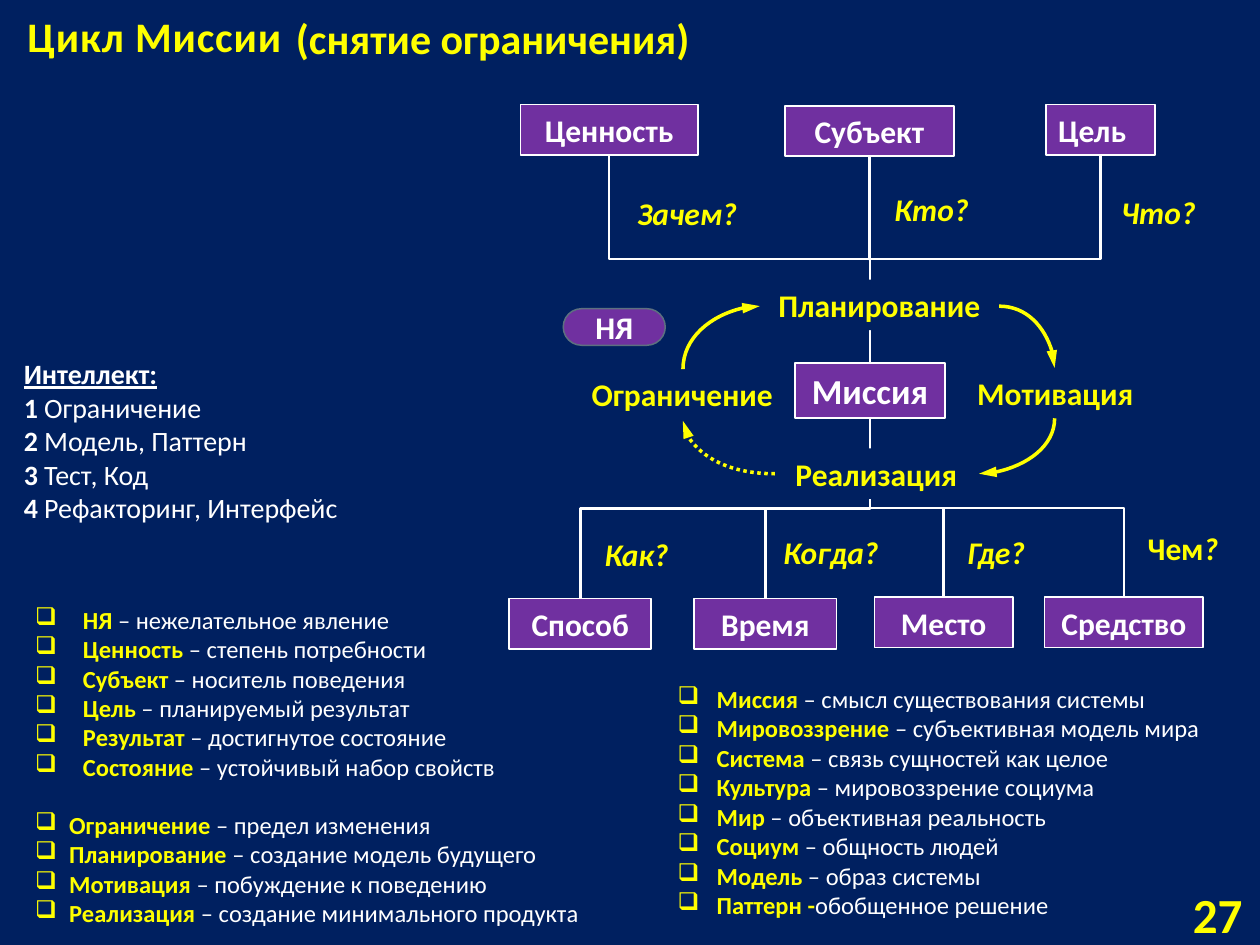
from lxml.etree import SubElement
from pptx import Presentation
from pptx.dml.color import RGBColor
from pptx.enum.dml import MSO_LINE
from pptx.enum.shapes import MSO_CONNECTOR, MSO_SHAPE
from pptx.enum.text import MSO_ANCHOR, PP_ALIGN
from pptx.oxml.ns import qn
from pptx.util import Inches, Pt

FONT = "Calibri"
COLORS = {"navy": "002060", "purple": "7030A0", "yellow": "FFFF00",
          "white": "FFFFFF", "grey": "5D7080"}

# text, left, top, width, height, size, alignment, anchor
HEADINGS = [
    ("Цикл Миссии", 0.12, 0.03, 2.54, 0.5, 24, PP_ALIGN.LEFT, MSO_ANCHOR.BOTTOM),
    ("(снятие ограничения)", 2.25, 0.05, 3.58, 0.5, 24, PP_ALIGN.LEFT, MSO_ANCHOR.TOP),
    ("27", 9.25, 7.05, 0.71, 0.4, 28, PP_ALIGN.RIGHT, MSO_ANCHOR.MIDDLE),
]
# text, left, top, width
QUESTIONS = [
    ("Зачем?", 4.96, 1.49, 1.14), ("Кто?", 7, 1.46, 0.99), ("Что?", 8.8, 1.48, 0.91),
    ("Как?", 4.7, 4.2, 0.82), ("Когда?", 6.12, 4.18, 1.14),
    ("Где?", 7.58, 4.18, 0.77), ("Чем?", 9.01, 4.15, 0.82),
]
TOP_BOXES = [("Ценность", 4.13, 0.83, 1.41), ("Субъект", 6.23, 0.84, 1.34),
             ("Цель", 8.3, 0.83, 0.87)]
BOTTOM_BOXES = [("Способ", 4.04, 4.75, 1.13), ("Время", 5.51, 4.75, 1.13),
                ("Место", 6.94, 4.74, 1.1), ("Средство", 8.29, 4.74, 1.26)]
STAGES = [("Планирование", 6.03, 2.22, 1.9), ("Ограничение", 4.55, 2.93, 1.73),
          ("Мотивация", 7.6, 2.92, 1.55), ("Реализация", 6.15, 3.56, 1.61)]
MISSION = ("Миссия", 6.31, 2.88, 1.19, 0.44)
BOX_HEIGHT = 0.4

# start, end, leaves vertically, dotted
CYCLE_ARROWS = [
    ((7.93, 2.43), (8.37, 2.92), False, False),
    ((8.37, 3.32), (7.77, 3.76), True, False),
    ((6.15, 3.76), (5.42, 3.34), False, True),
    ((5.42, 2.93), (6.03, 2.43), True, False),
]
# left, top, width, height, indent, terms with definitions
GLOSSARIES = [
    (0.18, 4.75, 4.31, 1.51, 0.38, [
        ("НЯ", " – нежелательное явление"),
        ("Ценность", " – степень потребности"),
        ("Субъект", " – носитель поведения"),
        ("Цель", " – планируемый результат"),
        ("Результат", " – достигнутое состояние"),
        ("Состояние", " – устойчивый набор свойств")]),
    (0.18, 6.38, 4.88, 1.04, 0.27, [
        ("Ограничение", " – предел изменения"),
        ("Планирование", " – создание модель будущего"),
        ("Мотивация", " – побуждение к поведению"),
        ("Реализация", " – создание минимального продукта")]),
    (5.28, 5.38, 4.4, 1.99, 0.31, [
        ("Миссия", " – смысл существования системы"),
        ("Мировоззрение", " – субъективная модель мира"),
        ("Система", " – связь сущностей как целое"),
        ("Культура", " – мировоззрение социума"),
        ("Мир", " – объективная реальность"),
        ("Социум", " – общность людей"),
        ("Модель", " – образ системы"),
        ("Паттерн -", "обобщенное решение")]),
]
INTELLECT_TITLE = "Интеллект:"
INTELLECT = ["Ограничение", "Модель, Паттерн", "Тест, Код", "Рефакторинг, Интерфейс"]


def color(name):
    return RGBColor.from_string(COLORS[name])


def add_run(paragraph, text, size, color_name, bold=True, italic=False):
    run = paragraph.add_run()
    run.text = text
    font = run.font
    font.name, font.size, font.bold, font.italic = FONT, Pt(size), bold, italic
    font.color.rgb = color(color_name)
    return run


def add_text_box(slide, left, top, width, height, anchor=MSO_ANCHOR.TOP):
    box = slide.shapes.add_textbox(*map(Inches, (left, top, width, height)))
    frame = box.text_frame
    frame.word_wrap = True
    frame.vertical_anchor = anchor
    return frame


def add_box(slide, text, left, top, width, height=BOX_HEIGHT, fill="purple",
            line="white", line_width=1, text_color="white", size=18,
            kind=MSO_SHAPE.RECTANGLE, align=PP_ALIGN.CENTER):
    shape = slide.shapes.add_shape(kind, *map(Inches, (left, top, width, height)))
    shape.shadow.inherit = False
    shape.fill.solid()
    shape.fill.fore_color.rgb = color(fill)
    if line:
        shape.line.color.rgb = color(line)
        shape.line.width = Pt(line_width)
    else:
        shape.line.fill.background()
    frame = shape.text_frame
    frame.word_wrap = False
    frame.vertical_anchor = MSO_ANCHOR.MIDDLE
    paragraph = frame.paragraphs[0]
    paragraph.alignment = align
    add_run(paragraph, text, size, text_color)
    return shape


def add_link(slide, kind, start, end, vertical, color_name, width):
    """Add a connector; a vertical one is laid out sideways and turned by 90 degrees."""
    (x1, y1), (x2, y2) = start, end
    if vertical:
        center_x, center_y = (x1 + x2) / 2, (y1 + y2) / 2
        half_x, half_y = (x2 - x1) / 2, (y2 - y1) / 2
        x1, y1 = center_x - half_y, center_y + half_x
        x2, y2 = center_x + half_y, center_y - half_x
    connector = slide.shapes.add_connector(kind, *map(Inches, (x1, y1, x2, y2)))
    connector.line.color.rgb = color(color_name)
    connector.line.width = Pt(width)
    properties = connector._element.spPr
    if vertical:
        properties.find(qn("a:xfrm")).set("rot", str(90 * 60000))
    SubElement(properties, qn("a:effectLst"))
    return connector


def add_cycle_arrow(slide, start, end, vertical, dotted):
    arrow = add_link(slide, MSO_CONNECTOR.CURVE, start, end, vertical, "yellow", 2)
    arrow._element.spPr.find(qn("a:prstGeom")).set("prst", "curvedConnector2")
    if dotted:
        arrow.line.dash_style = MSO_LINE.ROUND_DOT
    SubElement(arrow.line._get_or_add_ln(), qn("a:tailEnd"), type="triangle", w="med", len="lg")


def add_glossary(slide, left, top, width, height, indent, entries):
    frame = add_text_box(slide, left, top, width, height)
    for index, (term, definition) in enumerate(entries):
        paragraph = frame.add_paragraph() if index else frame.paragraphs[0]
        properties = paragraph._p.get_or_add_pPr()
        properties.set("marL", str(Inches(indent)))
        properties.set("indent", str(-Inches(indent)))
        SubElement(properties, qn("a:buChar"), char="❑")
        add_run(paragraph, term, 14, "yellow")
        add_run(paragraph, definition, 14, "white", bold=False)


def add_diagram(slide):
    _, left, top, width, height = MISSION
    center = left + width / 2
    for _, box_left, box_top, box_width in TOP_BOXES:
        end = (box_left + box_width / 2, box_top + BOX_HEIGHT)
        add_link(slide, MSO_CONNECTOR.ELBOW, (center, top), end, True, "white", 1.5)
    for _, box_left, box_top, box_width in BOTTOM_BOXES:
        start = (box_left + box_width / 2, box_top)
        add_link(slide, MSO_CONNECTOR.ELBOW, start, (center, top + height), True, "white", 1.5)
    for box in TOP_BOXES + BOTTOM_BOXES:
        align = PP_ALIGN.LEFT if box[0] == "Цель" else PP_ALIGN.CENTER
        add_box(slide, *box, align=align)
    for stage in STAGES:
        add_box(slide, *stage, fill="navy", line=None, text_color="yellow")
    add_box(slide, *MISSION, size=20)
    for arrow in CYCLE_ARROWS:
        add_cycle_arrow(slide, *arrow)
    pill = add_box(slide, "НЯ", 4.47, 2.45, 0.81, 0.29, line="grey", line_width=0.85,
                   kind=MSO_SHAPE.ROUNDED_RECTANGLE)
    pill.adjustments[0] = 0.5
    for text, *place in QUESTIONS:
        paragraph = add_text_box(slide, *place, BOX_HEIGHT).paragraphs[0]
        upright = text == "Чем?"
        add_run(paragraph, text[:-1], 18, "yellow", italic=not upright)
        add_run(paragraph, text[-1], 18, "yellow", italic=True)


def main():
    presentation = Presentation()
    presentation.slide_width, presentation.slide_height = Inches(10), Inches(7.5)
    slide = presentation.slides.add_slide(presentation.slide_layouts[6])
    slide.background.fill.solid()
    slide.background.fill.fore_color.rgb = color("navy")

    for text, left, top, width, height, size, align, anchor in HEADINGS:
        paragraph = add_text_box(slide, left, top, width, height, anchor).paragraphs[0]
        paragraph.alignment = align
        run = add_run(paragraph, text, size, "yellow")
        if text == "Цикл Миссии":
            run._r.get_or_add_rPr().set("spc", "50")
    add_diagram(slide)
    for glossary in GLOSSARIES:
        add_glossary(slide, *glossary)

    frame = add_text_box(slide, 0.09, 2.78, 2.91, 1.45)
    add_run(frame.paragraphs[0], INTELLECT_TITLE, 16, "white").font.underline = True
    for number, text in enumerate(INTELLECT, 1):
        paragraph = frame.add_paragraph()
        add_run(paragraph, str(number), 16, "white")
        add_run(paragraph, f" {text}", 16, "white", bold=False)
    presentation.save("out.pptx")


if __name__ == "__main__":
    main()
